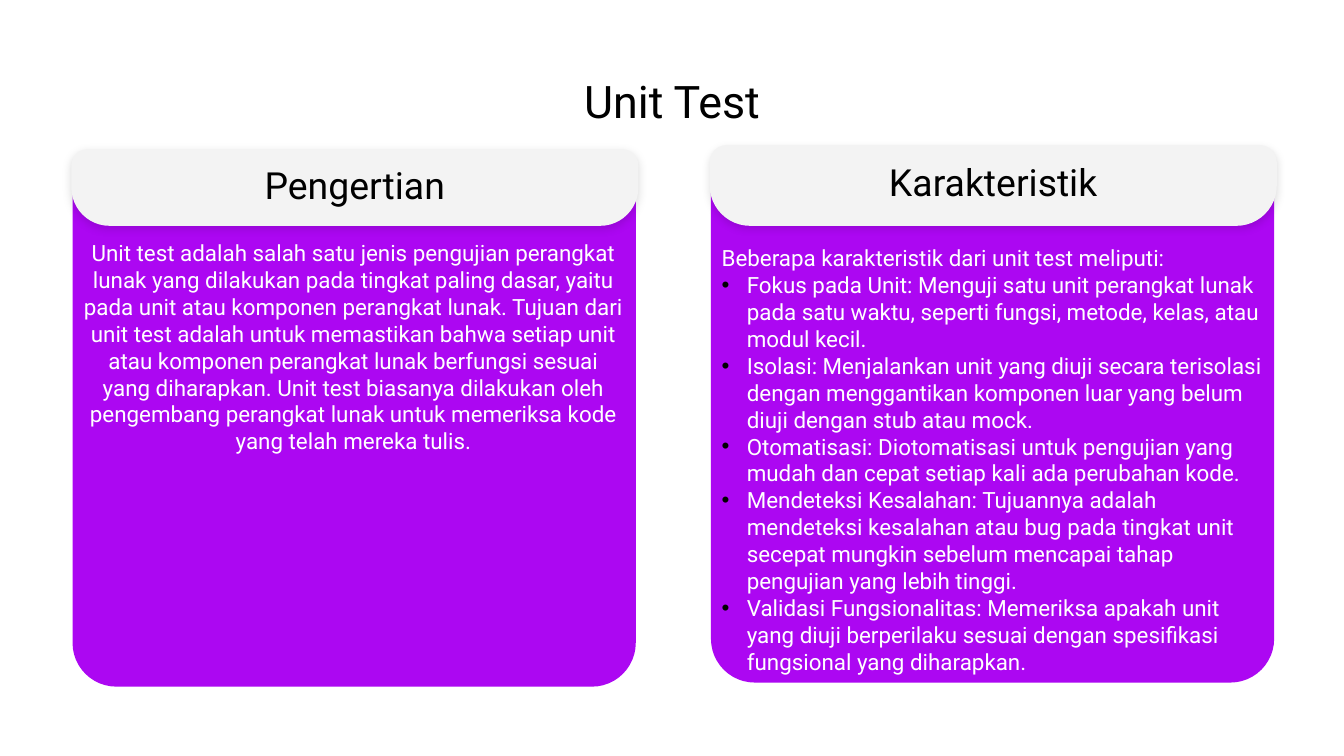
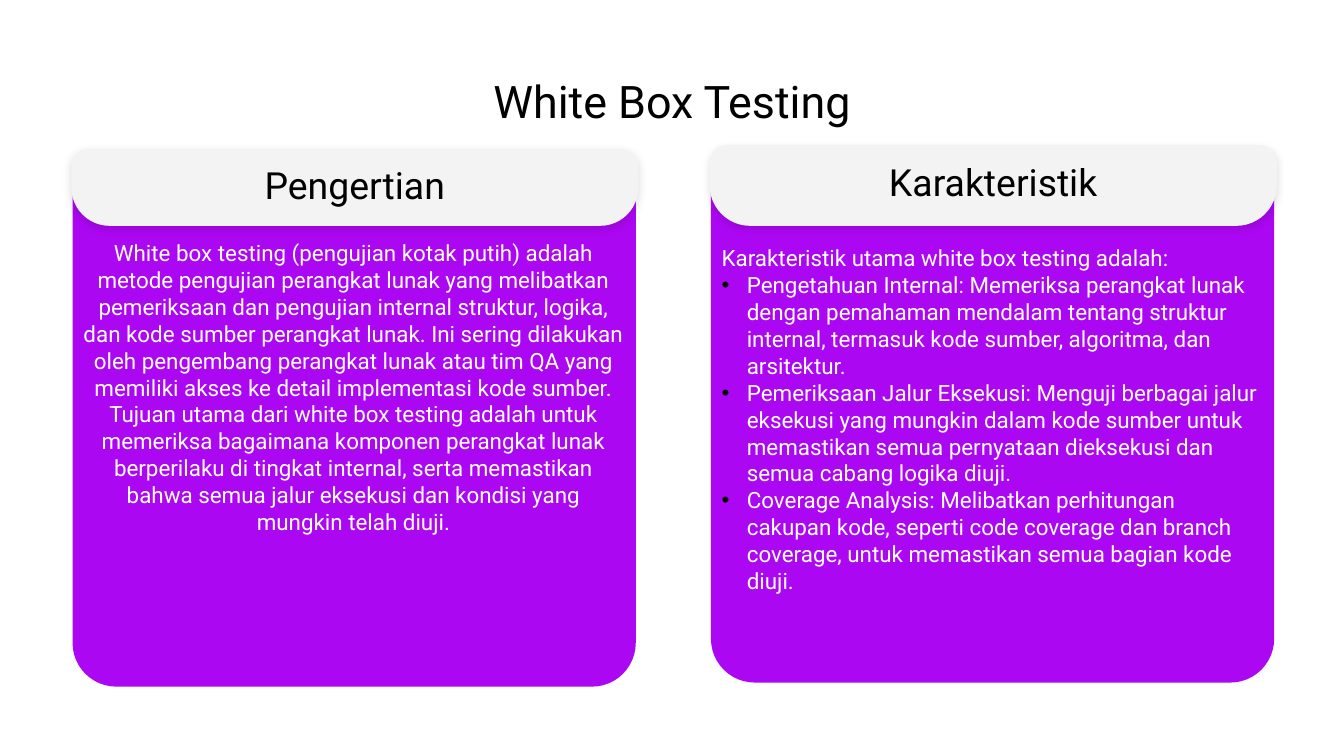
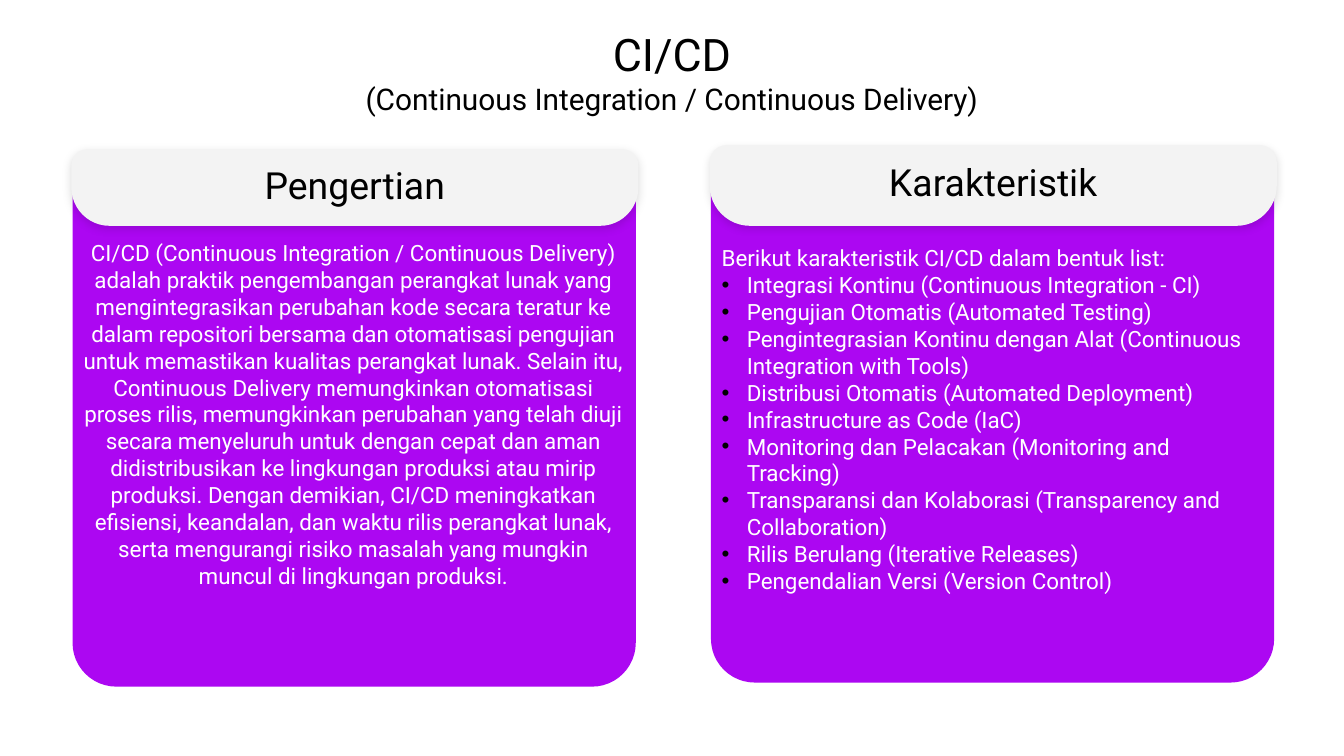
"""Build three slides that each define a software testing topic and list its traits."""
from dataclasses import dataclass
from typing import Any

from lxml import etree
from pptx import Presentation
from pptx.dml.color import RGBColor
from pptx.enum.shapes import MSO_SHAPE
from pptx.enum.text import MSO_ANCHOR, PP_ALIGN
from pptx.oxml.ns import qn
from pptx.util import Pt

ROUNDED = MSO_SHAPE.ROUNDED_RECTANGLE
ROUNDED_TOP = MSO_SHAPE.ROUND_2_SAME_RECTANGLE
TOP, MIDDLE = MSO_ANCHOR.TOP, MSO_ANCHOR.MIDDLE
LEFT, CENTER = PP_ALIGN.LEFT, PP_ALIGN.CENTER

FONT = "Roboto"
BLACK, WHITE, PURPLE, PALE_GRAY = "000000", "FFFFFF", "AC07F2", "F3F3F3"
INSET = Pt(7.2)
FRAME_FORMAT = {
    "word_wrap": True,
    "margin_left": INSET,
    "margin_top": INSET,
    "margin_right": INSET,
    "margin_bottom": INSET,
}
BULLET_INDENT = Pt(13.5)
HEADER_BOTTOM = 121


@dataclass(frozen=True)
class Line:
    """One line of text with its size, colour and bullet."""

    text: str
    size: float = 12
    color: str = WHITE
    bulleted: bool = False


@dataclass(frozen=True)
class Panel:
    """The place and heading of a purple card, in points."""

    heading: str
    left: float
    top: float
    text_top: float
    alignment: Any


@dataclass(frozen=True)
class Topic:
    """The content of one slide."""

    title: str
    definition: str
    introduction: str
    traits: tuple[str, ...]
    subtitle: str = ""
    title_top: float = 32.4


DEFINITION_PANEL = Panel("Pengertian", 38.9, 82.1, 121, CENTER)
TRAITS_PANEL = Panel("Karakteristik", 380.9, 79.9, 123.8, LEFT)

TOPICS = (
    Topic(
        "Unit Test",
        "Unit test adalah salah satu jenis pengujian perangkat lunak yang dilakukan pada "
        "tingkat paling dasar, yaitu pada unit atau komponen perangkat lunak. Tujuan dari "
        "unit test adalah untuk memastikan bahwa setiap unit atau komponen perangkat lunak "
        "berfungsi sesuai yang diharapkan. Unit test biasanya dilakukan oleh pengembang "
        "perangkat lunak untuk memeriksa kode yang telah mereka tulis.",
        "Beberapa karakteristik dari unit test meliputi:",
        (
            "Fokus pada Unit: Menguji satu unit perangkat lunak pada satu waktu, seperti "
            "fungsi, metode, kelas, atau modul kecil.",
            "Isolasi: Menjalankan unit yang diuji secara terisolasi dengan menggantikan "
            "komponen luar yang belum diuji dengan stub atau mock.",
            "Otomatisasi: Diotomatisasi untuk pengujian yang mudah dan cepat setiap kali "
            "ada perubahan kode.",
            "Mendeteksi Kesalahan: Tujuannya adalah mendeteksi kesalahan atau bug pada "
            "tingkat unit secepat mungkin sebelum mencapai tahap pengujian yang lebih tinggi.",
            "Validasi Fungsionalitas: Memeriksa apakah unit yang diuji berperilaku sesuai "
            "dengan spesifikasi fungsional yang diharapkan.",
        ),
    ),
    Topic(
        "White Box Testing",
        "White box testing (pengujian kotak putih) adalah metode pengujian perangkat lunak "
        "yang melibatkan pemeriksaan dan pengujian internal struktur, logika, dan kode sumber "
        "perangkat lunak. Ini sering dilakukan oleh pengembang perangkat lunak atau tim QA "
        "yang memiliki akses ke detail implementasi kode sumber. Tujuan utama dari white box "
        "testing adalah untuk memeriksa bagaimana komponen perangkat lunak berperilaku di "
        "tingkat internal, serta memastikan bahwa semua jalur eksekusi dan kondisi yang "
        "mungkin telah diuji.",
        "Karakteristik utama white box testing adalah:",
        (
            "Pengetahuan Internal: Memeriksa perangkat lunak dengan pemahaman mendalam "
            "tentang struktur internal, termasuk kode sumber, algoritma, dan arsitektur.",
            "Pemeriksaan Jalur Eksekusi: Menguji berbagai jalur eksekusi yang mungkin dalam "
            "kode sumber untuk memastikan semua pernyataan dieksekusi dan semua cabang "
            "logika diuji.",
            "Coverage Analysis: Melibatkan perhitungan cakupan kode, seperti code coverage "
            "dan branch coverage, untuk memastikan semua bagian kode diuji.",
        ),
    ),
    Topic(
        "CI/CD",
        "CI/CD (Continuous Integration / Continuous Delivery) adalah praktik pengembangan "
        "perangkat lunak yang mengintegrasikan perubahan kode secara teratur ke dalam "
        "repositori bersama dan otomatisasi pengujian untuk memastikan kualitas perangkat "
        "lunak. Selain itu, Continuous Delivery memungkinkan otomatisasi proses rilis, "
        "memungkinkan perubahan yang telah diuji secara menyeluruh untuk dengan cepat dan "
        "aman didistribusikan ke lingkungan produksi atau mirip produksi. Dengan demikian, "
        "CI/CD meningkatkan efisiensi, keandalan, dan waktu rilis perangkat lunak, serta "
        "mengurangi risiko masalah yang mungkin muncul di lingkungan produksi.",
        "Berikut karakteristik CI/CD dalam bentuk list:",
        (
            "Integrasi Kontinu (Continuous Integration - CI)",
            "Pengujian Otomatis (Automated Testing)",
            "Pengintegrasian Kontinu dengan Alat (Continuous Integration with Tools)",
            "Distribusi Otomatis (Automated Deployment)",
            "Infrastructure as Code (IaC)",
            "Monitoring dan Pelacakan (Monitoring and Tracking)",
            "Transparansi dan Kolaborasi (Transparency and Collaboration)",
            "Rilis Berulang (Iterative Releases)",
            "Pengendalian Versi (Version Control)",
        ),
        subtitle="(Continuous Integration / Continuous Delivery)",
        title_top=7.2,
    ),
)


def rgb(color: str) -> RGBColor:
    """Turn a hex string into a colour."""
    return RGBColor.from_string(color)


def add_run(paragraph: Any, line: Line) -> None:
    """Add the text of a line to a paragraph."""
    run = paragraph.add_run()
    run.text = line.text
    for name, value in {"name": FONT, "size": Pt(line.size)}.items():
        setattr(run.font, name, value)
    run.font.color.rgb = rgb(line.color)


def add_bullet(paragraph: Any) -> None:
    """Give a paragraph a black bullet with a hanging indent."""
    properties = paragraph._p.get_or_add_pPr()
    properties.set("marL", str(BULLET_INDENT))
    properties.set("indent", str(-BULLET_INDENT))
    bullet_color = etree.SubElement(properties, qn("a:buClr"))
    etree.SubElement(bullet_color, qn("a:srgbClr"), val=BLACK)
    etree.SubElement(properties, qn("a:buFont"), typeface="Arial")
    etree.SubElement(properties, qn("a:buChar"), char="•")


def write_lines(shape: Any, lines: list[Line], alignment: Any, anchor: Any) -> None:
    """Fill a shape with one paragraph per line."""
    frame = shape.text_frame
    for name, value in {**FRAME_FORMAT, "vertical_anchor": anchor}.items():
        setattr(frame, name, value)
    for index, line in enumerate(lines):
        paragraph = frame.add_paragraph() if index else frame.paragraphs[0]
        paragraph.alignment = alignment
        if line.bulleted:
            add_bullet(paragraph)
        add_run(paragraph, line)


def add_block(shapes: Any, kind: Any, box: tuple[float, ...], color: str,
              adjustments: tuple[float, ...]) -> Any:
    """Add a filled shape without outline."""
    shape = shapes.add_shape(kind, *map(Pt, box))
    shape.shadow.inherit = False
    shape.fill.solid()
    shape.fill.fore_color.rgb = rgb(color)
    shape.line.fill.background()
    for index, adjustment in enumerate(adjustments):
        shape.adjustments[index] = adjustment
    return shape


def add_soft_shadow(shape: Any) -> None:
    """Put a faint shadow below a shape."""
    effects = shape._element.spPr.find(qn("a:effectLst"))
    shadow = etree.SubElement(
        effects, qn("a:outerShdw"), blurRad=str(Pt(4.5)), dist=str(Pt(1.5)),
        dir="5400000", algn="t", rotWithShape="0",
    )
    color = etree.SubElement(shadow, qn("a:srgbClr"), val=BLACK)
    etree.SubElement(color, qn("a:alpha"), val="13000")


def add_panel(slide: Any, panel: Panel, lines: list[Line]) -> None:
    """Draw a card with its heading band and text."""
    shapes = slide.shapes.add_group_shape().shapes
    add_block(shapes, ROUNDED, (panel.left, panel.top, 301.7, 285.8), PURPLE, (0.082,))
    header_top = panel.top - 2.2
    header_box = (panel.left - 0.7, header_top, 303.8, HEADER_BOTTOM - header_top)
    header = add_block(shapes, ROUNDED_TOP, header_box, PALE_GRAY, (0.214, 0.5))
    add_soft_shadow(header)
    write_lines(header, [Line(panel.heading, 20, BLACK)], CENTER, MIDDLE)
    body = shapes.add_textbox(Pt(panel.left - 1.4), Pt(panel.text_top), Pt(303.8), Pt(229.7))
    write_lines(body, lines, panel.alignment, TOP)


def add_title(slide: Any, topic: Topic) -> None:
    """Write the title and the subtitle, if there is one."""
    title = slide.shapes.add_textbox(Pt(36), Pt(topic.title_top), Pt(648), Pt(36))
    write_lines(title, [Line(topic.title, 24, BLACK)], CENTER, TOP)
    if topic.subtitle:
        paragraph = title.text_frame.paragraphs[0]
        paragraph.add_line_break()
        add_run(paragraph, Line(topic.subtitle, 16, BLACK))


def main() -> None:
    """Build and save the presentation."""
    presentation = Presentation()
    presentation.slide_width, presentation.slide_height = Pt(720), Pt(405)
    for topic in TOPICS:
        slide = presentation.slides.add_slide(presentation.slide_layouts[6])
        add_title(slide, topic)
        add_panel(slide, DEFINITION_PANEL, [Line(topic.definition)])
        traits = [Line(trait, bulleted=True) for trait in topic.traits]
        add_panel(slide, TRAITS_PANEL, [Line(topic.introduction), *traits])
    presentation.save("out.pptx")


if __name__ == "__main__":
    main()
